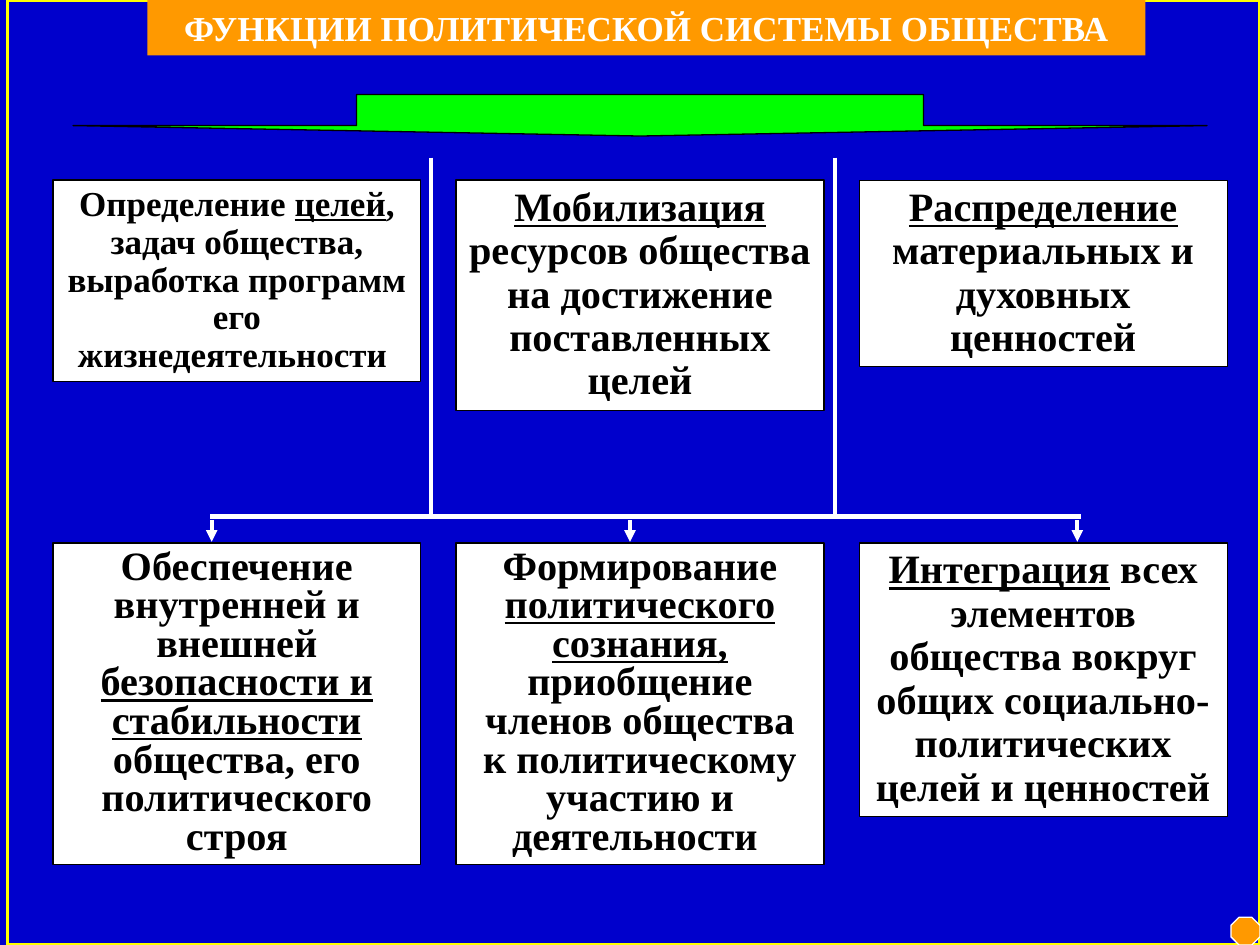
from lxml.etree import SubElement
from pptx import Presentation
from pptx.dml.color import RGBColor
from pptx.enum.shapes import MSO_CONNECTOR, MSO_SHAPE as Preset
from pptx.enum.text import MSO_ANCHOR as Anchor, PP_ALIGN as Align
from pptx.oxml.ns import qn
from pptx.util import Inches, Pt

BLUE = RGBColor(0x00, 0x00, 0xCC)
YELLOW = RGBColor(0xFF, 0xFF, 0x00)
ORANGE = RGBColor(0xFF, 0x99, 0x00)
GREEN = RGBColor(0x00, 0xFF, 0x00)
WHITE = RGBColor(0xFF, 0xFF, 0xFF)
BLACK = RGBColor(0x00, 0x00, 0x00)

FONT = "Times New Roman"
WIDTH, HEIGHT = 10, 7.5
TITLE = "ФУНКЦИИ ПОЛИТИЧЕСКОЙ СИСТЕМЫ ОБЩЕСТВА"

# Each text part is (words, underlined).
FUNCTIONS = [
    [
        dict(height=1.6, size=20, spacing=0.9, parts=[
            ("Определение ", False), ("целей", True),
            (", задач общества, выработка программ его жизнедеятельности ", False)]),
        dict(height=1.83, size=23, spacing=0.9, parts=[
            ("Мобилизация ", True),
            ("ресурсов общества на достижение поставленных целей", False)]),
        dict(height=1.48, size=23, spacing=0.9, parts=[
            ("Распределение ", True), ("материальных и духовных ценностей", False)]),
    ],
    [
        dict(height=2.55, size=23, spacing=0.8, parts=[
            ("Обеспечение внутренней и внешней ", False),
            ("безопасности и стабильности ", True),
            ("общества, его политического строя", False)]),
        dict(height=2.55, size=23, spacing=0.8, parts=[
            ("Формирование ", False), ("политического сознания, ", True),
            ("приобщение членов общества к политическому участию и деятельности ", False)]),
        dict(height=2.17, size=23, spacing=0.9, parts=[
            ("Интеграция", True),
            (" всех элементов общества вокруг общих социально-политических целей и ценностей", False)]),
    ],
]
BOX_LEFT, BOX_WIDTH, COLUMN_STEP = 0.42, 2.92, 3.2
ROW_TOPS = [1.43, 4.31]
RAIL_Y, RAIL_ENDS = 4.1, (1.67, 8.58)
ARROW_XS, ARROW_TOP, ARROW_BOTTOM = [1.68, 5, 8.55], 4.13, 4.3
DIVIDER_XS, DIVIDER_TOP = [3.42, 6.63], 1.25

presentation = Presentation()
presentation.slide_width, presentation.slide_height = Inches(WIDTH), Inches(HEIGHT)
slide = presentation.slides.add_slide(presentation.slide_layouts[6])
slide.background.fill.solid()
slide.background.fill.fore_color.rgb = BLUE


def add_box(left, top, width, height, preset=Preset.RECTANGLE,
            fill=None, line=None, line_width=0.75):
    shape = slide.shapes.add_shape(preset, *map(Inches, (left, top, width, height)))
    shape.shadow.inherit = False
    for target, color in ((shape.fill, fill), (shape.line.fill, line)):
        if color is None:
            target.background()
        else:
            target.solid()
            target.fore_color.rgb = color
    if line is not None:
        shape.line.width = Pt(line_width)
    return shape


def write_text(shape, parts, size=20, color=BLACK, spacing=1.0):
    frame = shape.text_frame
    frame.word_wrap = True
    frame.vertical_anchor = Anchor.TOP
    paragraph = frame.paragraphs[0]
    paragraph.alignment = Align.CENTER
    paragraph.line_spacing = spacing
    for words, underlined in parts:
        run = paragraph.add_run()
        run.text = words
        font = run.font
        font.name, font.size, font.bold = FONT, Pt(size), True
        font.underline = underlined
        font.color.rgb = color


def add_line(x1, y1, x2, y2, width=2.25, arrow=False):
    connector = slide.shapes.add_connector(
        MSO_CONNECTOR.STRAIGHT, *map(Inches, (x1, y1, x2, y2)))
    connector.line.color.rgb = WHITE
    connector.line.width = Pt(width)
    if arrow:
        SubElement(connector.line._get_or_add_ln(), qn("a:tailEnd"), type="triangle")
    SubElement(connector._element.spPr, qn("a:effectLst"))


add_box(0.06, 0, WIDTH - 0.06, HEIGHT, line=YELLOW, line_width=2.25)
add_box(9.77, 7.28, 0.23, 0.22, Preset.OCTAGON, fill=ORANGE, line=WHITE)
write_text(add_box(1.17, 0, 7.92, 0.44, fill=ORANGE), [(TITLE, False)], color=WHITE)

for row_top, row in zip(ROW_TOPS, FUNCTIONS):
    for column, function in enumerate(row):
        box = add_box(BOX_LEFT + column * COLUMN_STEP, row_top, BOX_WIDTH,
                      function["height"], fill=WHITE, line=BLACK)
        write_text(box, function["parts"], size=function["size"],
                   spacing=function["spacing"])

arrow_shape = add_box(0.58, 0.75, 9, 0.33, Preset.DOWN_ARROW, fill=GREEN, line=BLACK)
arrow_shape.adjustments[0], arrow_shape.adjustments[1] = 0.5, 0.25

add_line(RAIL_ENDS[0], RAIL_Y, RAIL_ENDS[1], RAIL_Y, width=3)
for x in ARROW_XS:
    add_line(x, ARROW_TOP, x, ARROW_BOTTOM, arrow=True)
for x in DIVIDER_XS:
    add_line(x, DIVIDER_TOP, x, RAIL_Y)

presentation.save("out.pptx")
